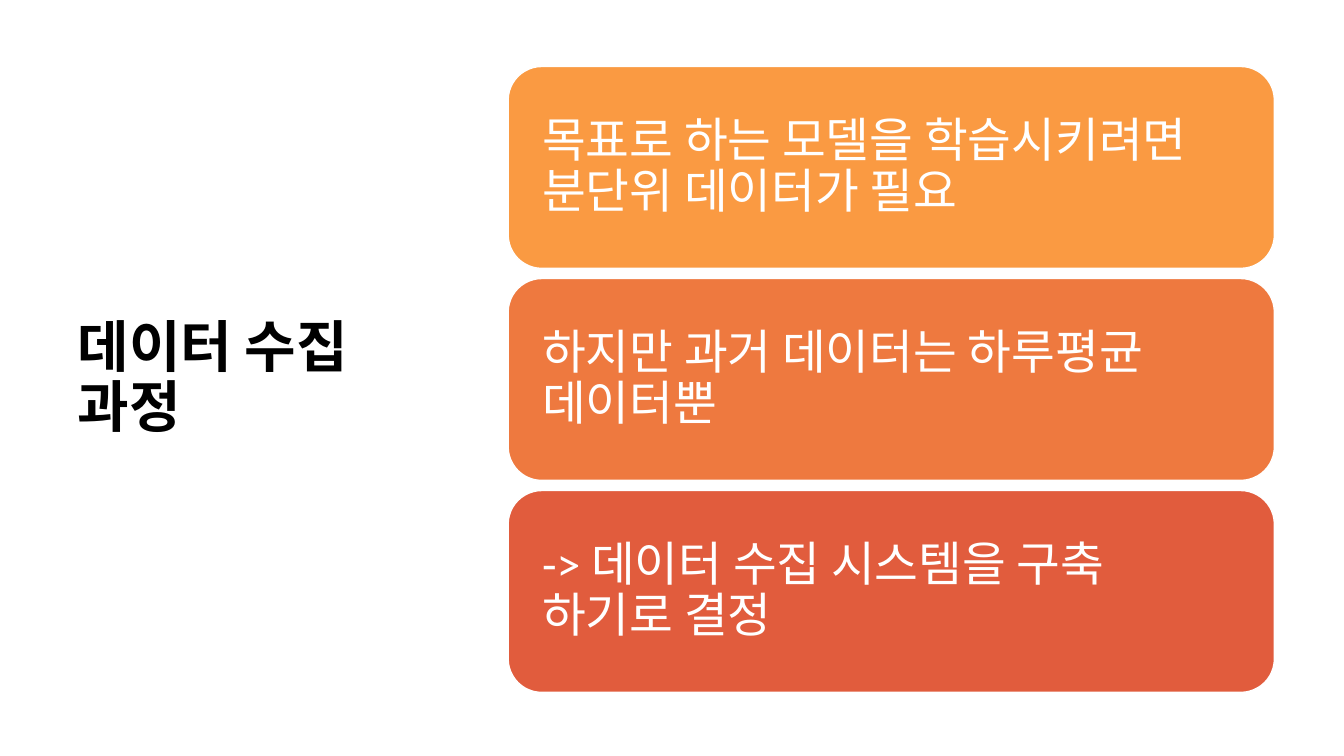
from pptx import Presentation
from pptx.dml.color import RGBColor
from pptx.enum.shapes import MSO_SHAPE
from pptx.enum.text import MSO_ANCHOR, MSO_AUTO_SIZE, PP_ALIGN
from pptx.util import Inches, Pt

BLACK = RGBColor(0x00, 0x00, 0x00)
WHITE = RGBColor(0xFF, 0xFF, 0xFF)
AMBER = RGBColor(0xFA, 0x9A, 0x42)
ORANGE = RGBColor(0xEE, 0x79, 0x3F)
RED = RGBColor(0xE1, 0x5C, 0x3D)

TITLE_FONT = {"name": "Calibri", "size": Pt(40), "bold": True}
STEP_FONT = {"name": "Calibri", "size": Pt(34), "bold": False}

STEPS = [
    ("목표로 하는 모델을 학습시키려면 분단위 데이터가 필요", AMBER),
    ("하지만 과거 데이터는 하루평균 데이터뿐", ORANGE),
    ("-> 데이터 수집 시스템을 구축 하기로 결정", RED),
]


def write_text(sp, text, font, color, inset):
    tf = sp.text_frame
    frame = {
        "word_wrap": True,
        "auto_size": MSO_AUTO_SIZE.NONE,
        "vertical_anchor": MSO_ANCHOR.MIDDLE,
        "margin_left": inset,
        "margin_right": inset,
    }
    for name, value in frame.items():
        setattr(tf, name, value)
    p = tf.paragraphs[0]
    p.alignment = PP_ALIGN.LEFT
    p.line_spacing = 0.9
    r = p.add_run()
    r.text = text
    for name, value in font.items():
        setattr(r.font, name, value)
    r.font.color.rgb = color


def add_title(slide, left, top, width, height):
    title = slide.shapes.title
    title.left, title.top = Inches(left), Inches(top)
    title.width, title.height = Inches(width), Inches(height)
    write_text(title, "데이터 수집 과정", TITLE_FONT, BLACK, Inches(0.1))


def add_steps(slide, left, top, width, height, gap=0.1):
    """Stack the steps as equal rounded cards that fill the given box."""
    card_height = (height - gap * (len(STEPS) - 1)) / len(STEPS)
    for i, (text, color) in enumerate(STEPS):
        sp = slide.shapes.add_shape(
            MSO_SHAPE.ROUNDED_RECTANGLE,
            Inches(left), Inches(top + i * (card_height + gap)),
            Inches(width), Inches(card_height))
        sp.shadow.inherit = False
        sp.fill.solid()
        sp.fill.fore_color.rgb = color
        sp.line.color.rgb = WHITE
        sp.line.width = Pt(1)
        write_text(sp, text, STEP_FONT, WHITE, Inches(0.24))


def main():
    prs = Presentation()
    prs.slide_width, prs.slide_height = Inches(13.33), Inches(7.5)
    slide = prs.slides.add_slide(prs.slide_layouts.get_by_name("Title Only"))
    add_title(slide, 0.67, 0.6, 3.82, 6.33)
    add_steps(slide, 5.04, 0.66, 7.6, 6.21)
    prs.save("out.pptx")


if __name__ == "__main__":
    main()
